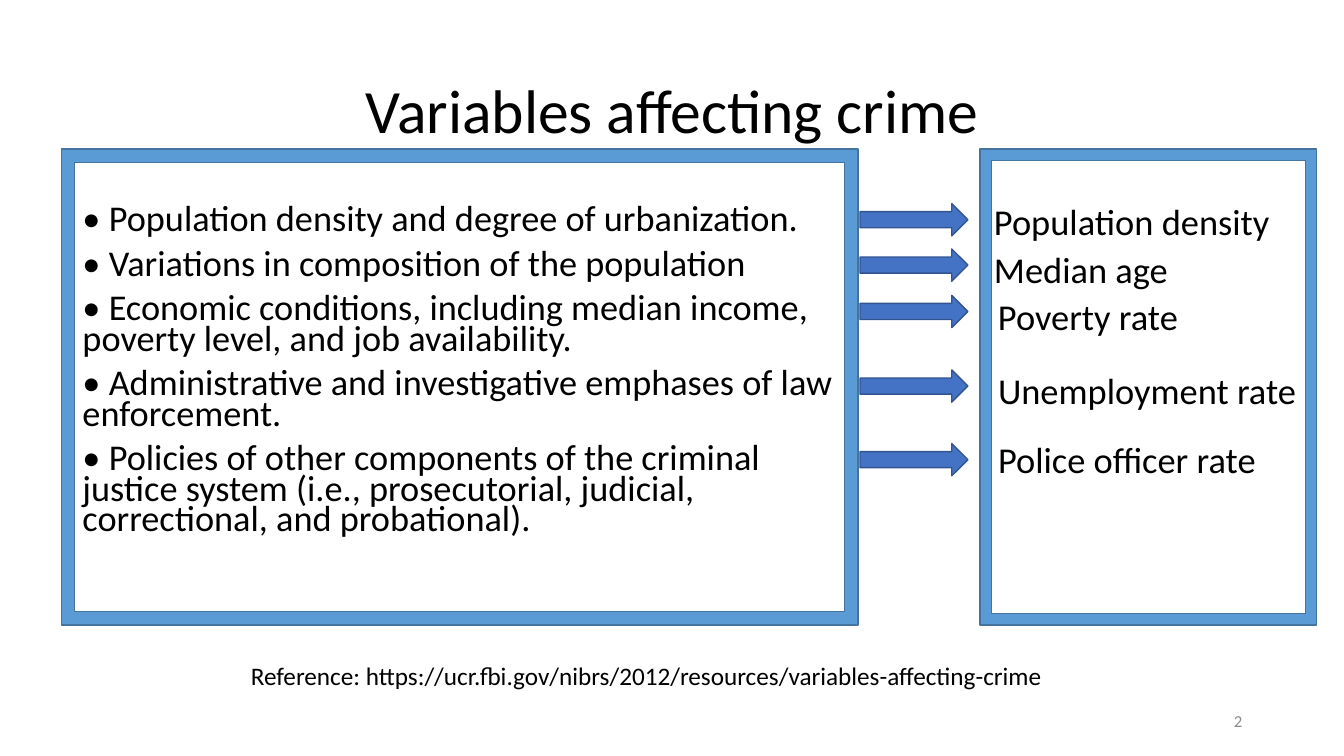
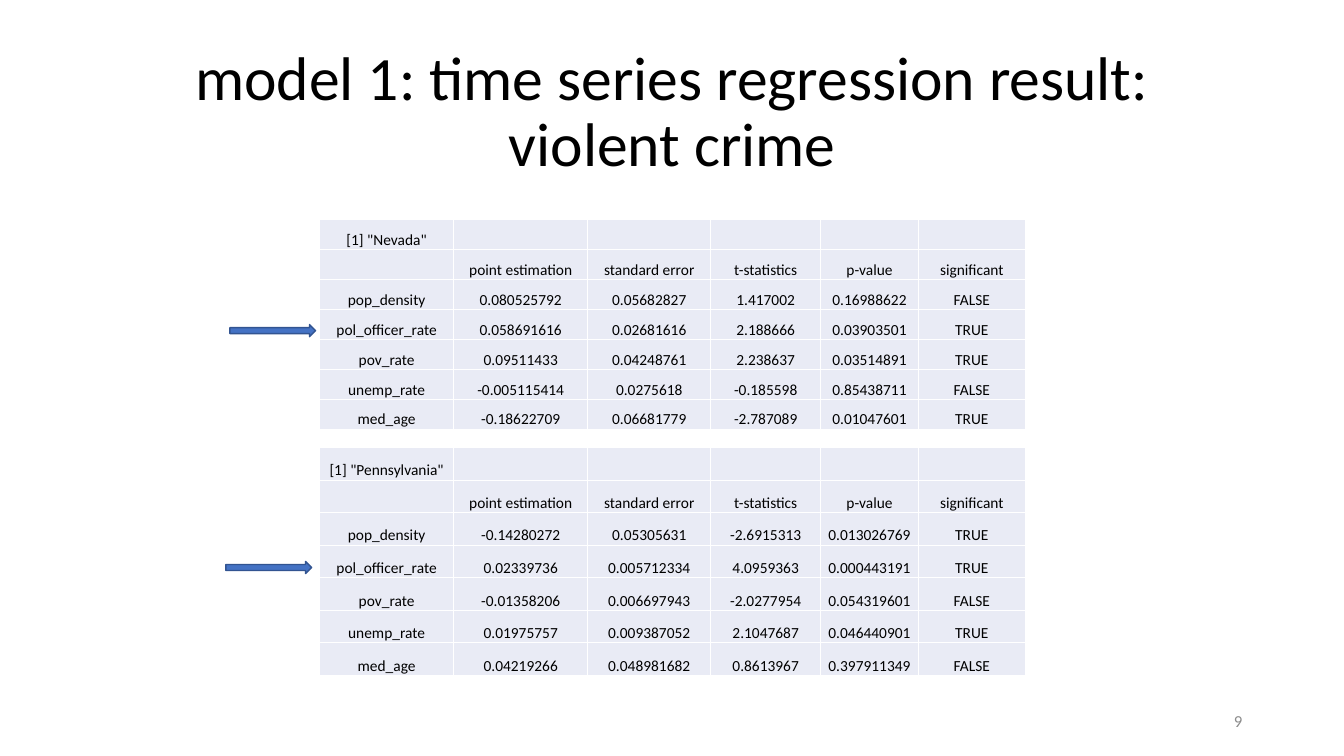
from lxml.etree import SubElement
from pptx import Presentation
from pptx.dml.color import RGBColor
from pptx.enum.shapes import MSO_SHAPE
from pptx.enum.text import MSO_ANCHOR, PP_ALIGN
from pptx.oxml import parse_xml
from pptx.oxml.ns import nsdecls, qn
from pptx.util import Inches, Pt

FONT = "Calibri"
BLACK, GREY, WHITE = "000000", "8C8C8C", "FFFFFF"
ARROW_FILL, ARROW_LINE = "4472C4", "325491"
FRAME_FILL, FRAME_LINE = "5B9BD5", "43739E"
CELL_FILL = "E9EBF5"

FACTORS = [
    "• Population density and degree of urbanization.",
    "• Variations in composition of the population",
    "• Economic conditions, including median income, poverty level, and job availability.",
    "• Administrative and investigative emphases of law enforcement.",
    "• Policies of other components of the criminal justice system "
    "(i.e., prosecutorial, judicial, correctional, and probational).",
]
# Each measure: label, label left, label top, label width, arrow top
MEASURES = [
    ("Population density", 9.76, 1.93, 2.96, 2.02),
    ("Median age", 9.76, 2.4, 1.94, 2.47),
    ("Poverty rate", 9.8, 2.87, 2, 2.93),
    ("Unemployment rate", 9.8, 3.6, 3.18, 3.67),
    ("Police officer rate", 9.8, 4.29, 2.79, 4.4),
]

COLUMN_WIDTHS = [1.33, 1.33, 1.22, 1.09, 0.97, 1.06]
HEADINGS = ["", "point estimation", "standard error", "t-statistics", "p-value", "significant"]
NEVADA = [
    ["pop_density", "0.080525792", "0.05682827", "1.417002", "0.16988622", "FALSE"],
    ["pol_officer_rate", "0.058691616", "0.02681616", "2.188666", "0.03903501", "TRUE"],
    ["pov_rate", "0.09511433", "0.04248761", "2.238637", "0.03514891", "TRUE"],
    ["unemp_rate", "-0.005115414", "0.0275618", "-0.185598", "0.85438711", "FALSE"],
    ["med_age", "-0.18622709", "0.06681779", "-2.787089", "0.01047601", "TRUE"],
]
PENNSYLVANIA = [
    ["pop_density", "-0.14280272", "0.05305631", "-2.6915313", "0.013026769", "TRUE"],
    ["pol_officer_rate", "0.02339736", "0.005712334", "4.0959363", "0.000443191", "TRUE"],
    ["pov_rate", "-0.01358206", "0.006697943", "-2.0277954", "0.054319601", "FALSE"],
    ["unemp_rate", "0.01975757", "0.009387052", "2.1047687", "0.046440901", "TRUE"],
    ["med_age", "0.04219266", "0.048981682", "0.8613967", "0.397911349", "FALSE"],
]


def rgb(hex_color):
    return RGBColor.from_string(hex_color)


def write(frame, paragraphs, size, color=BLACK, align=PP_ALIGN.LEFT, line_spacing=None, before=None):
    """Fill a text frame with one paragraph per string, all in one format."""
    for index, text in enumerate(paragraphs):
        paragraph = frame.add_paragraph() if index else frame.paragraphs[0]
        paragraph.text = text
        paragraph.alignment = align
        if line_spacing:
            paragraph.line_spacing = line_spacing
        if before:
            paragraph.space_before = Pt(before)
        for run in paragraph.runs:
            run.font.name = FONT
            run.font.size = Pt(size)
            run.font.color.rgb = rgb(color)
        if not text:
            SubElement(paragraph._p, qn("a:endParaRPr"), sz=str(size * 100))


def add_text(slide, box, paragraphs, size, wrap=True, anchor=MSO_ANCHOR.TOP, **text_format):
    frame = slide.shapes.add_textbox(*map(Inches, box)).text_frame
    frame.word_wrap = wrap
    frame.vertical_anchor = anchor
    write(frame, paragraphs, size, **text_format)


def add_block(slide, preset, box, fill, line, adjustment=None):
    block = slide.shapes.add_shape(preset, *map(Inches, box))
    block.shadow.inherit = False
    block.fill.solid()
    block.fill.fore_color.rgb = rgb(fill)
    block.line.color.rgb = rgb(line)
    block.line.width = Pt(1)
    if adjustment is not None:
        block.adjustments[0] = adjustment


def add_arrow(slide, left, top, width, height):
    add_block(slide, MSO_SHAPE.RIGHT_ARROW, (left, top, width, height), ARROW_FILL, ARROW_LINE)


def add_frame(slide, box, thickness):
    add_block(slide, MSO_SHAPE.FRAME, box, FRAME_FILL, FRAME_LINE, thickness)


def start_slide(deck, title, number):
    """Add a blank slide with the shared title and page number."""
    slide = deck.slides.add_slide(deck.slide_layouts[6])
    add_text(slide, (0.92, 0.4, 11.5, 1.45), [title], 44, anchor=MSO_ANCHOR.MIDDLE,
             align=PP_ALIGN.CENTER, line_spacing=0.9)
    add_text(slide, (9.42, 6.95, 3, 0.4), [str(number)], 12, anchor=MSO_ANCHOR.MIDDLE,
             align=PP_ALIGN.RIGHT, color=GREY)
    return slide


def style_cell(cell):
    cell.vertical_anchor = MSO_ANCHOR.BOTTOM
    cell.margin_left = cell.margin_right = cell.margin_top = Inches(0.01)
    cell.margin_bottom = 0
    cell.fill.solid()
    cell.fill.fore_color.rgb = rgb(CELL_FILL)
    properties = cell._tc.get_or_add_tcPr()
    for position, side in enumerate("LRTB"):
        properties.insert(position, parse_xml(
            f'<a:ln{side} {nsdecls("a")} w="12700"><a:solidFill>'
            f'<a:srgbClr val="{WHITE}"/></a:solidFill></a:ln{side}>'))


def add_results(slide, left, top, height, state, estimates):
    """Place one state's regression table, with its name in the first row."""
    rows = [[f'[1] "{state}"'] + [""] * (len(HEADINGS) - 1), HEADINGS, *estimates]
    table = slide.shapes.add_table(len(rows), len(HEADINGS), Inches(left), Inches(top),
                                   Inches(sum(COLUMN_WIDTHS)), Inches(height)).table
    table.first_row = table.horz_banding = False
    for column, width in zip(table.columns, COLUMN_WIDTHS):
        column.width = Inches(width)
    for row, values in zip(table.rows, rows):
        row.height = Inches(height / len(rows))
        for cell, value in zip(row.cells, values):
            style_cell(cell)
            write(cell.text_frame, [value], 11, align=PP_ALIGN.CENTER)


def build_variables(deck):
    slide = start_slide(deck, "Variables affecting crime", 2)
    add_text(slide, (0.72, 2.01, 7.9, 3.67), FACTORS, 25.9, line_spacing=0.7, before=10)
    for label, left, top, width, arrow_top in MEASURES:
        add_arrow(slide, 8.53, arrow_top, 1.07, 0.32)
        add_text(slide, (left, top, width, 0.54), [label], 26, wrap=False)
    add_text(slide, (2.39, 6.5, 8.09, 0.4),
             ["Reference: https://ucr.fbi.gov/nibrs/2012/resources/variables-affecting-crime"],
             18, wrap=False)
    add_frame(slide, (0.61, 1.48, 7.9, 4.72), 0.028)
    add_frame(slide, (9.72, 1.48, 3.34, 4.72), 0.034)


def build_regression(deck):
    slide = start_slide(deck, "model 1: time series regression result:\vviolent crime", 9)
    add_results(slide, 3.17, 4.44, 2.26, "Pennsylvania", PENNSYLVANIA)
    add_results(slide, 3.17, 2.18, 2.08, "Nevada", NEVADA)
    add_arrow(slide, 2.28, 3.22, 0.85, 0.12)
    add_arrow(slide, 2.24, 5.57, 0.85, 0.12)


def main():
    deck = Presentation()
    deck.slide_width, deck.slide_height = Inches(13.33), Inches(7.5)
    build_variables(deck)
    build_regression(deck)
    deck.save("out.pptx")


if __name__ == "__main__":
    main()
